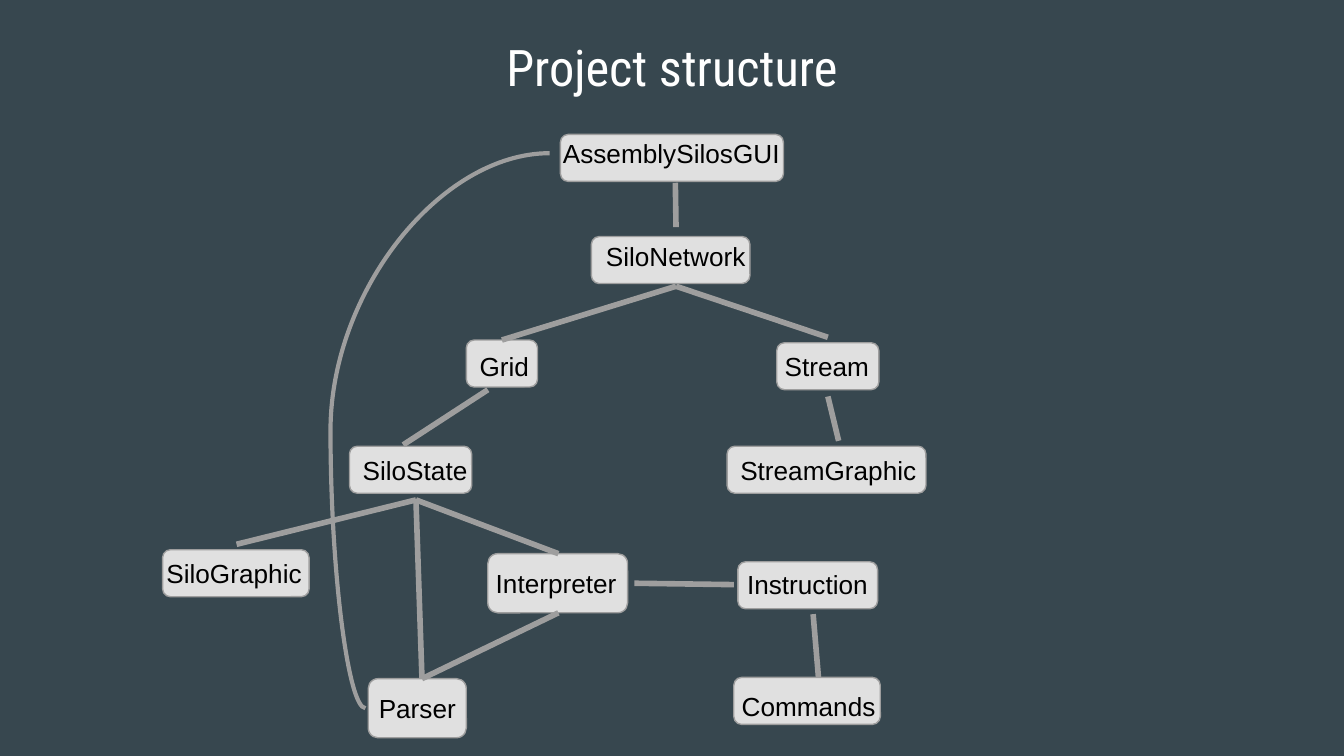
from lxml import etree
from pptx import Presentation
from pptx import util as u
from pptx.dml.color import RGBColor
from pptx.enum import shapes, text
from pptx.oxml.ns import qn

EMU_PER_PX = 9144
BACKGROUND, WHITE, BLACK = "37474F", "FFFFFF", "000000"
BOX_FILL, LINE_COLOUR = "E0E0E0", "9E9E9E"
LABEL_HEIGHT = 44
TOP, LEFT, BOTTOM, RIGHT = range(4)

NODES = {
    "AssemblySilosGUI": ((417, 100, 166, 35), (409, 92, 187)),
    "SiloNetwork": ((440, 176, 118, 35), (441, 169, 124)),
    "Grid": ((347, 253, 53, 35), (347, 251, 64)),
    "Stream": ((578, 255, 76, 35), (574, 251, 84)),
    "SiloState": ((260, 332, 91, 35), (260, 328, 99)),
    "StreamGraphic": ((541, 332, 148, 35), (541, 328, 166)),
    "SiloGraphic": ((121, 409, 109, 35), (114, 405, 124)),
    "Interpreter": ((363, 412, 104, 44), (359, 412, 113)),
    "Instruction": ((549, 418, 104, 35), (546, 413, 118)),
    "Parser": ((274, 505, 73, 44), (272, 505, 84)),
    "Commands": ((546, 504, 109, 35), (542, 504, 134)),
}
LINKS = [
    ("AssemblySilosGUI", BOTTOM, "SiloNetwork", TOP),
    ("SiloNetwork", BOTTOM, "Stream", TOP),
    ("Stream", BOTTOM, "StreamGraphic", TOP),
    ("SiloState", BOTTOM, "SiloGraphic", TOP),
    ("SiloState", BOTTOM, "Interpreter", TOP),
    ("SiloState", BOTTOM, "Parser", TOP),
    ("Interpreter", BOTTOM, "Parser", TOP),
    ("Interpreter", RIGHT, "Instruction", LEFT),
    ("Instruction", BOTTOM, "Commands", TOP),
]


def px(*values):
    return [u.Emu(value * EMU_PER_PX) for value in values]


def colour(hex_string):
    return RGBColor.from_string(hex_string)


def add_run(paragraph, words, font_name, size, hex_string):
    run = paragraph.add_run()
    run.text = words
    run.font.name = font_name
    run.font.size = u.Pt(size)
    run.font.color.rgb = colour(hex_string)


def set_insets(frame, left, top, right, bottom):
    (frame.margin_left, frame.margin_top,
     frame.margin_right, frame.margin_bottom) = px(left, top, right, bottom)


def set_title(slide, words):
    title = slide.shapes.title
    title.left, title.top, title.width, title.height = px(34, 17, 932, 63)
    frame = title.text_frame
    frame.auto_size = text.MSO_AUTO_SIZE.NONE
    frame.vertical_anchor = text.MSO_ANCHOR.TOP
    set_insets(frame, 10, 10, 10, 10)
    paragraph = frame.paragraphs[0]
    paragraph.alignment = text.PP_ALIGN.CENTER
    add_run(paragraph, words, "Roboto Condensed", 27, WHITE)


def add_box(slide, bounds):
    box = slide.shapes.add_shape(shapes.MSO_SHAPE.ROUNDED_RECTANGLE, *px(*bounds))
    box.shadow.inherit = False
    box.fill.solid()
    box.fill.fore_color.rgb = colour(BOX_FILL)
    box.line.color.rgb = colour(LINE_COLOUR)
    box.line.width = u.Pt(0.75)
    return box


def add_label(slide, words, left, top, width):
    label = slide.shapes.add_textbox(*px(left, top, width, LABEL_HEIGHT))
    frame = label.text_frame
    frame.word_wrap = True
    frame.auto_size = text.MSO_AUTO_SIZE.SHAPE_TO_FIT_TEXT
    set_insets(frame, 10, 10, 5, 10)
    add_run(frame.paragraphs[0], words, "Arial", 14, BLACK)
    return label


def add_line(slide, start=(0, 0), end=(0, 0), kind=shapes.MSO_CONNECTOR.STRAIGHT, width=3):
    connector = slide.shapes.add_connector(kind, *px(*start, *end))
    connector.line.color.rgb = colour(LINE_COLOUR)
    connector.line.width = u.Pt(width)
    etree.SubElement(connector._element.spPr, qn("a:effectLst"))
    return connector


def link(connector, source, source_side, target, target_side):
    connector.begin_connect(source, source_side)
    connector.end_connect(target, target_side)


def bend(connector, ratio):
    geometry = connector._element.spPr.find(qn("a:prstGeom"))
    adjustments = geometry.find(qn("a:avLst"))
    etree.SubElement(adjustments, qn("a:gd"), name="adj1", fmla=f"val {round(ratio * 100000)}")


def main():
    presentation = Presentation()
    presentation.slide_width = u.Inches(10)
    presentation.slide_height = presentation.slide_width * 9 // 16
    slide = presentation.slides.add_slide(presentation.slide_layouts[5])
    slide.background.fill.solid()
    slide.background.fill.fore_color.rgb = colour(BACKGROUND)
    set_title(slide, "Project structure")

    boxes = {name: add_box(slide, bounds) for name, (bounds, _) in NODES.items()}
    labels = {name: add_label(slide, name, *place) for name, (_, place) in NODES.items()}

    for source, source_side, target, target_side in LINKS:
        link(add_line(slide), labels[source], source_side, labels[target], target_side)
    link(add_line(slide), labels["SiloNetwork"], BOTTOM, boxes["Grid"], TOP)
    add_line(slide, (363, 290), (300, 331))

    curve = add_line(slide, kind=shapes.MSO_CONNECTOR.CURVE, width=2.25)
    link(curve, labels["AssemblySilosGUI"], LEFT, labels["Parser"], LEFT)
    bend(curve, 1.19)

    presentation.save("out.pptx")


if __name__ == "__main__":
    main()
